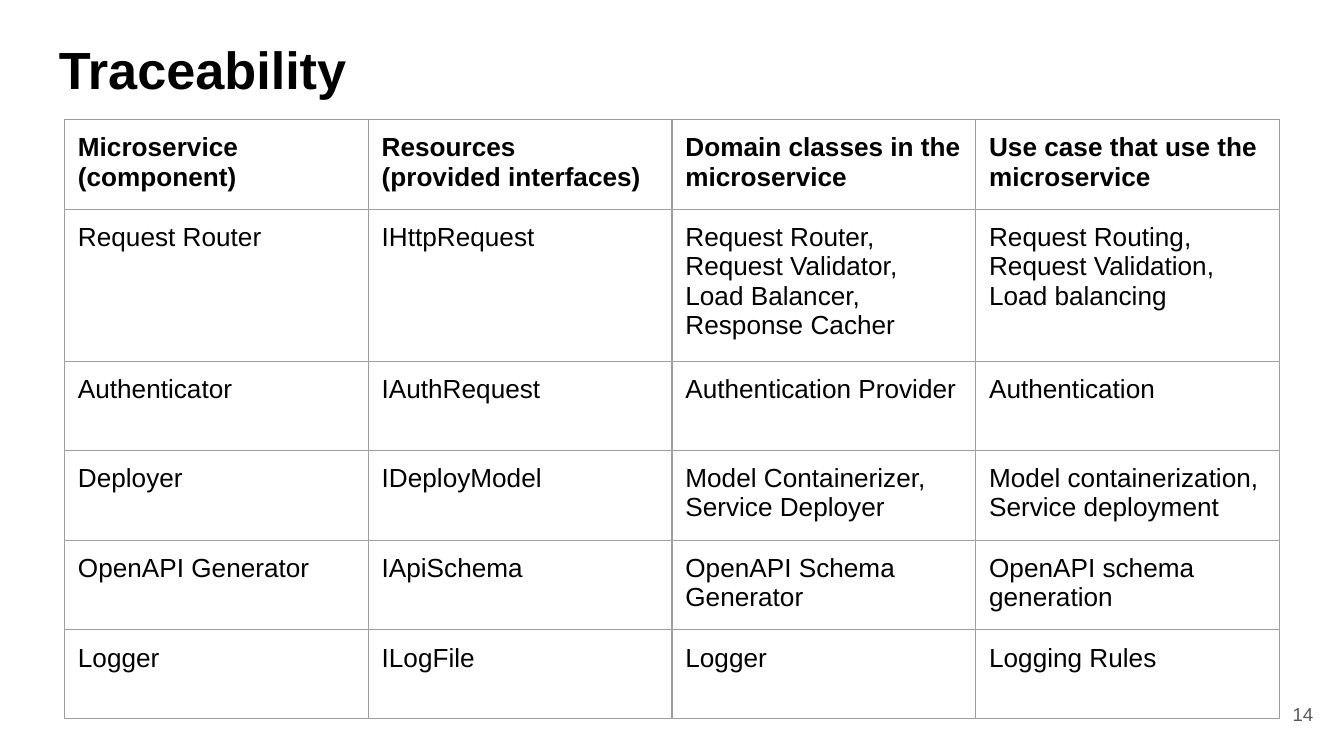
from lxml.etree import SubElement
from pptx import Presentation
from pptx.dml.color import RGBColor
from pptx.enum.text import MSO_ANCHOR as ANCHOR, PP_ALIGN as ALIGN
from pptx.oxml.ns import qn
from pptx.util import Inches, Pt

# Content: each cell is a list of paragraphs, "\n" is a line break
TITLE = "Traceability"
PAGE_NUMBER = "14"
HEADER = [
    ["Microservice\n(component)"],
    ["Resources\n(provided interfaces)"],
    ["Domain classes in the microservice"],
    ["Use case that use the microservice"],
]
ROWS = [
    [["Request Router"], ["IHttpRequest"],
     ["Request Router, Request Validator,", "Load Balancer,", "Response Cacher"],
     ["Request Routing,", "Request Validation,", "Load balancing"]],
    [["Authenticator"], ["IAuthRequest"],
     ["Authentication Provider"], ["Authentication"]],
    [["Deployer"], ["IDeployModel"],
     ["Model Containerizer, Service Deployer"],
     ["Model containerization,", "Service deployment"]],
    [["OpenAPI Generator"], ["IApiSchema"],
     ["OpenAPI Schema Generator"], ["OpenAPI schema generation"]],
    [["Logger"], ["ILogFile"], ["Logger"], ["Logging Rules"]],
]

# Layout and style
FONT = "Arial"
BLACK, GREY, BORDER = "000000", "595959", "9E9E9E"
PAD = Inches(0.1)
COL_W, ROW_H = 2.26, 0.66  # rows with more text grow by themselves


def rgb(value):
    return RGBColor.from_string(value)


def set_margins(box):
    box.margin_left = box.margin_right = PAD
    box.margin_top = box.margin_bottom = PAD


def write(tf, paragraphs, size, color=BLACK, bold=False, align=ALIGN.LEFT):
    for i, text in enumerate(paragraphs):
        p = tf.add_paragraph() if i else tf.paragraphs[0]
        p.alignment = align
        for j, line in enumerate(text.split("\n")):
            if j:
                p.add_line_break()
            r = p.add_run()
            r.text = line
            r.font.name, r.font.size, r.font.bold = FONT, Pt(size), bold
            r.font.color.rgb = rgb(color)


def add_text(s, box, text, size, anchor=ANCHOR.TOP, **style):
    tf = s.shapes.add_textbox(*map(Inches, box)).text_frame
    tf.word_wrap = True
    tf.vertical_anchor = anchor
    set_margins(tf)
    write(tf, [text], size, **style)


def set_borders(cell):
    tc_pr = cell._tc.get_or_add_tcPr()
    for i, side in enumerate(("a:lnL", "a:lnR", "a:lnT", "a:lnB")):
        ln = tc_pr.makeelement(qn(side), {"w": str(Pt(0.75))})
        fill = SubElement(ln, qn("a:solidFill"))
        SubElement(fill, qn("a:srgbClr"), val=BORDER)
        tc_pr.insert(i, ln)  # borders come before the cell fill


# 16:9 slide
prs = Presentation()
prs.slide_width, prs.slide_height = Inches(10), Inches(10 * 9 / 16)
s = prs.slides.add_slide(prs.slide_layouts[6])

# Title
add_text(s, (0.34, 0.18, 9.32, 0.63), TITLE, 28, bold=True)

# Traceability table
grid = [HEADER] + ROWS
table = s.shapes.add_table(
    len(grid), len(HEADER), Inches(0.48), Inches(0.89),
    Inches(COL_W * len(HEADER)), Inches(ROW_H * len(grid))).table
table.horz_banding = False
for col in table.columns:
    col.width = Inches(COL_W)
for i, cells in enumerate(grid):
    table.rows[i].height = Inches(ROW_H)
    for j, paragraphs in enumerate(cells):
        cell = table.cell(i, j)
        set_margins(cell)
        cell.fill.background()
        set_borders(cell)
        write(cell.text_frame, paragraphs, 14, bold=i == 0)

# Page number
add_text(s, (9.27, 5.1, 0.6, 0.43), PAGE_NUMBER, 10, ANCHOR.MIDDLE,
         color=GREY, align=ALIGN.RIGHT)

prs.save("out.pptx")
